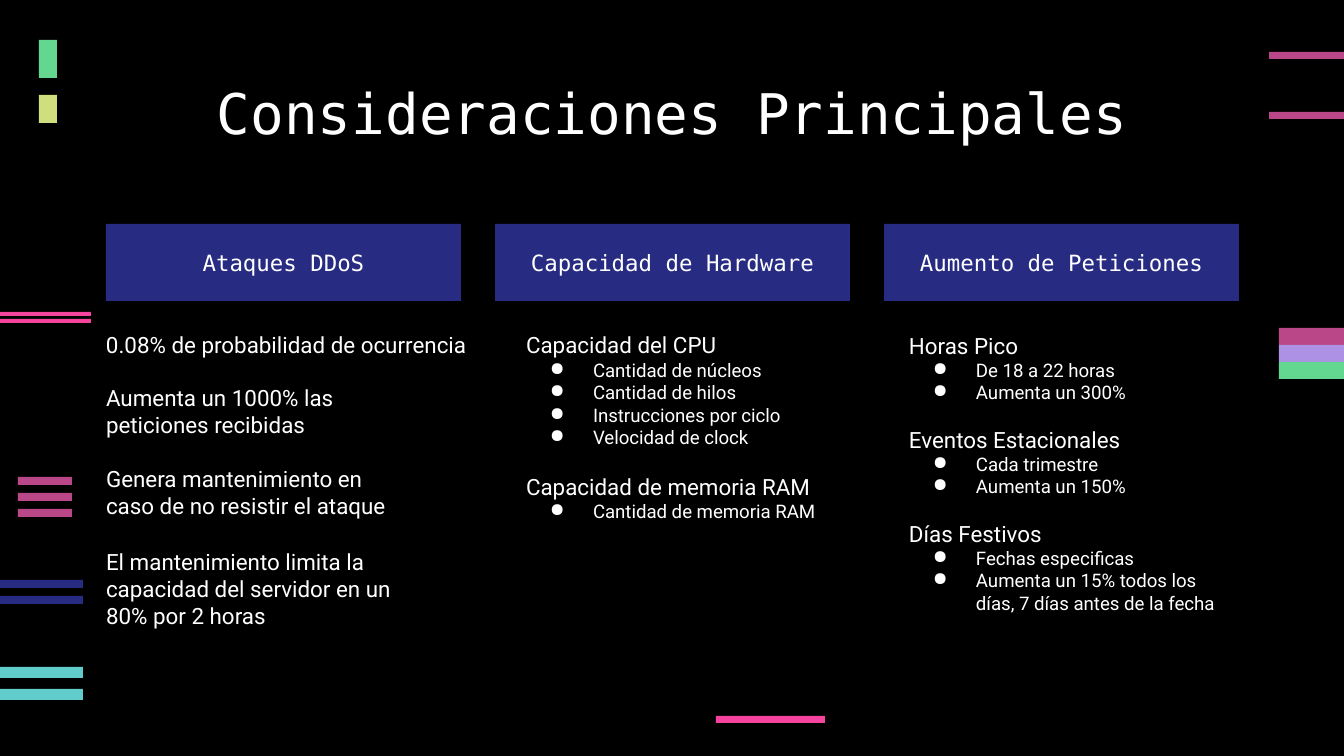
from lxml import etree
from pptx import Presentation
from pptx import util as u
from pptx.dml.color import RGBColor
from pptx.enum import shapes, text
from pptx.oxml import ns

SCALE = 914400 / 134.4
BLACK = RGBColor(0x00, 0x00, 0x00)
WHITE = RGBColor(0xFF, 0xFF, 0xFF)
NAVY = RGBColor(0x27, 0x2B, 0x82)
PLUM = RGBColor(0xBA, 0x48, 0x88)
PINK = RGBColor(0xF6, 0x43, 0x9D)
TEAL = RGBColor(0x60, 0xCC, 0xCB)
GREEN = RGBColor(0x63, 0xD7, 0x90)
LILAC = RGBColor(0xAC, 0x91, 0xE5)
LIME = RGBColor(0xD0, 0xDF, 0x7E)
MONO = "DejaVu Sans Mono"
SANS = "Roboto"

STRIPES = [
    (18, 477, 54, 8, 16, [PLUM] * 3),
    (1269, 52, 75, 7, 60, [PLUM] * 2),
    (716, 716, 109, 7, 0, [PINK]),
    (0, 667, 83, 11, 22, [TEAL] * 2),
    (1279, 328, 65, 17, 17, [PLUM, LILAC, GREEN]),
    (39, 40, 18, 38, 0, [GREEN]),
    (39, 95, 18, 28, 0, [LIME]),
    (0, 312, 91, 4, 7, [PINK] * 2),
    (0, 580, 83, 8, 16, [NAVY] * 2),
]
HEADS = ["Ataques DDoS", "Capacidad de Hardware", "Aumento de Peticiones"]
FACTS = [
    (319, 396, 51, "0.08% de probabilidad de ocurrencia"),
    (386, 355, 51, "Aumenta un 1000% las peticiones recibidas"),
    (467, 321, 51, "Genera mantenimiento en caso de no resistir el ataque"),
    (555, 321, 67, "El mantenimiento limita la capacidad del servidor en un 80% por 2 horas"),
]
CPU = [("Capacidad del CPU", [
    "Cantidad de núcleos", "Cantidad de hilos",
    "Instrucciones por ciclo", "Velocidad de clock"])]
RAM = [("Capacidad de memoria RAM", ["Cantidad de memoria RAM"])]
PEAKS = [
    ("Horas Pico", ["De 18 a 22 horas", "Aumenta un 300%"]),
    ("Eventos Estacionales", ["Cada trimestre", "Aumenta un 150%"]),
    ("Días Festivos", [
        "Fechas especificas",
        "Aumenta un 15% todos los días, 7 días antes de la fecha"]),
]


def px(n):
    return u.Emu(round(n * SCALE))


def add_rect(slide, x, y, w, h, color):
    rect = slide.shapes.add_shape(
        shapes.MSO_SHAPE.RECTANGLE, px(x), px(y), px(w), px(h))
    rect.shadow.inherit = False
    rect.fill.solid()
    rect.fill.fore_color.rgb = color
    rect.line.fill.background()
    return rect


def add_box(slide, x, y, w, h):
    return slide.shapes.add_textbox(px(x), px(y), px(w), px(h))


def set_frame(shape, anchor=text.MSO_ANCHOR.MIDDLE, pad=3):
    frame = shape.text_frame
    frame.word_wrap = True
    frame.vertical_anchor = anchor
    frame.margin_left = frame.margin_right = px(13)
    frame.margin_top = frame.margin_bottom = px(pad)
    return frame


def add_bullet(para):
    props = para._p.get_or_add_pPr()
    props.set("marL", str(px(67)))
    props.set("indent", str(px(-43)))
    tint = etree.SubElement(props, ns.qn("a:buClr"))
    etree.SubElement(tint, ns.qn("a:srgbClr"), val=str(WHITE))
    etree.SubElement(props, ns.qn("a:buChar"), char="●")


def write(frame, words, size=12, font=SANS, align=text.PP_ALIGN.LEFT,
          bullet=False, gap=0):
    first = frame.paragraphs[0]
    para = frame.add_paragraph() if first.runs else first
    para.alignment = align
    para.space_before = u.Pt(gap)
    if bullet:
        add_bullet(para)
    run = para.add_run()
    run.text = words
    run.font.size = u.Pt(size)
    run.font.name = font
    run.font.color.rgb = WHITE


def add_list(slide, x, y, w, h, groups):
    frame = set_frame(add_box(slide, x, y, w, h))
    for i, (head, items) in enumerate(groups):
        write(frame, head, gap=12 if i else 0)
        for item in items:
            write(frame, item, size=10, bullet=True)


def main():
    deck = Presentation()
    deck.slide_width, deck.slide_height = px(1344), px(756)
    slide = deck.slides.add_slide(deck.slide_layouts[6])
    slide.background.fill.solid()
    slide.background.fill.fore_color.rgb = BLACK

    for x, y, w, h, step, colors in STRIPES:
        for i, color in enumerate(colors):
            add_rect(slide, x, y + i * step, w, h, color)

    title = set_frame(add_box(slide, 106, 66, 1132, 118),
                      anchor=text.MSO_ANCHOR.TOP, pad=13)
    write(title, "Consideraciones Principales", size=30, font=MONO,
          align=text.PP_ALIGN.CENTER)

    for i, head in enumerate(HEADS):
        bar = add_rect(slide, 106 + i * 389, 224, 355, 77, NAVY)
        write(set_frame(bar), head, font=MONO, align=text.PP_ALIGN.CENTER)

    for y, w, h, fact in FACTS:
        write(set_frame(add_box(slide, 93, y, w, h)), fact)

    add_list(slide, 513, 332, 321, 116, CPU)
    add_list(slide, 513, 472, 321, 51, RAM)
    add_list(slide, 896, 354, 355, 238, PEAKS)
    deck.save("out.pptx")


if __name__ == "__main__":
    main()
